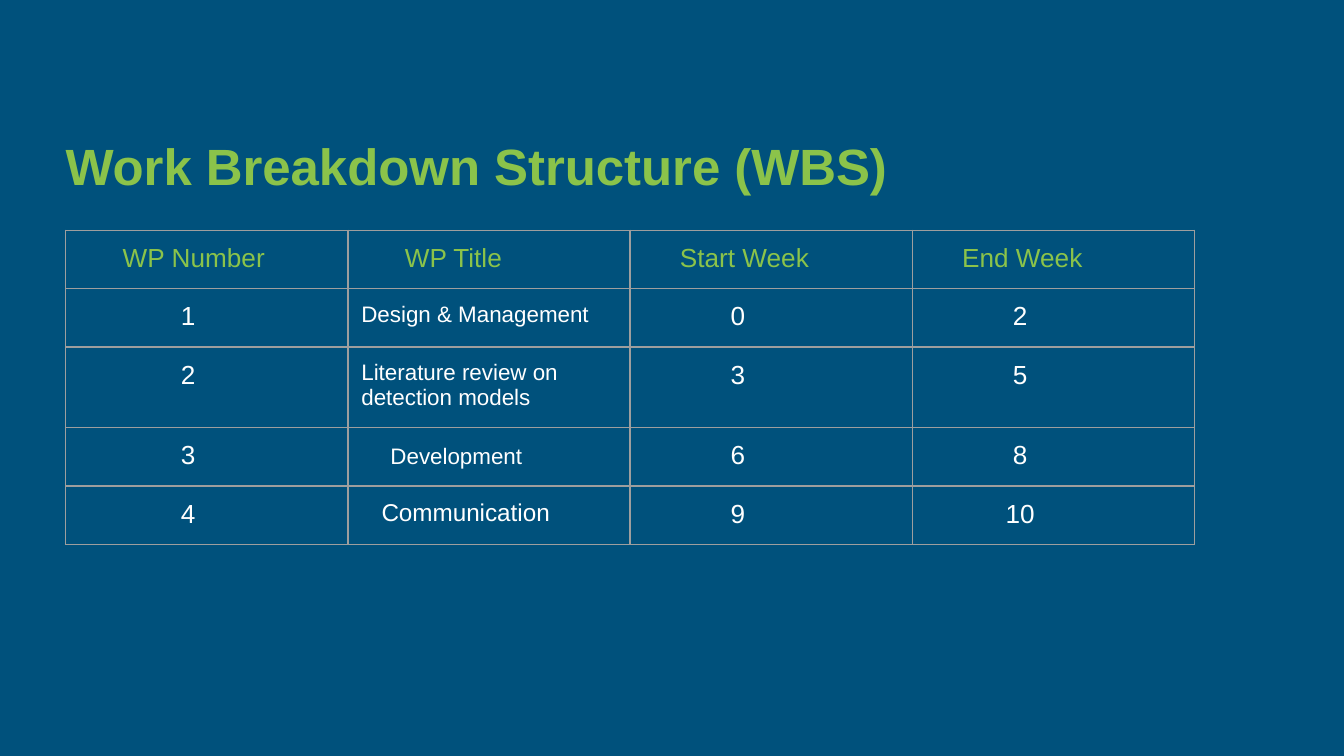
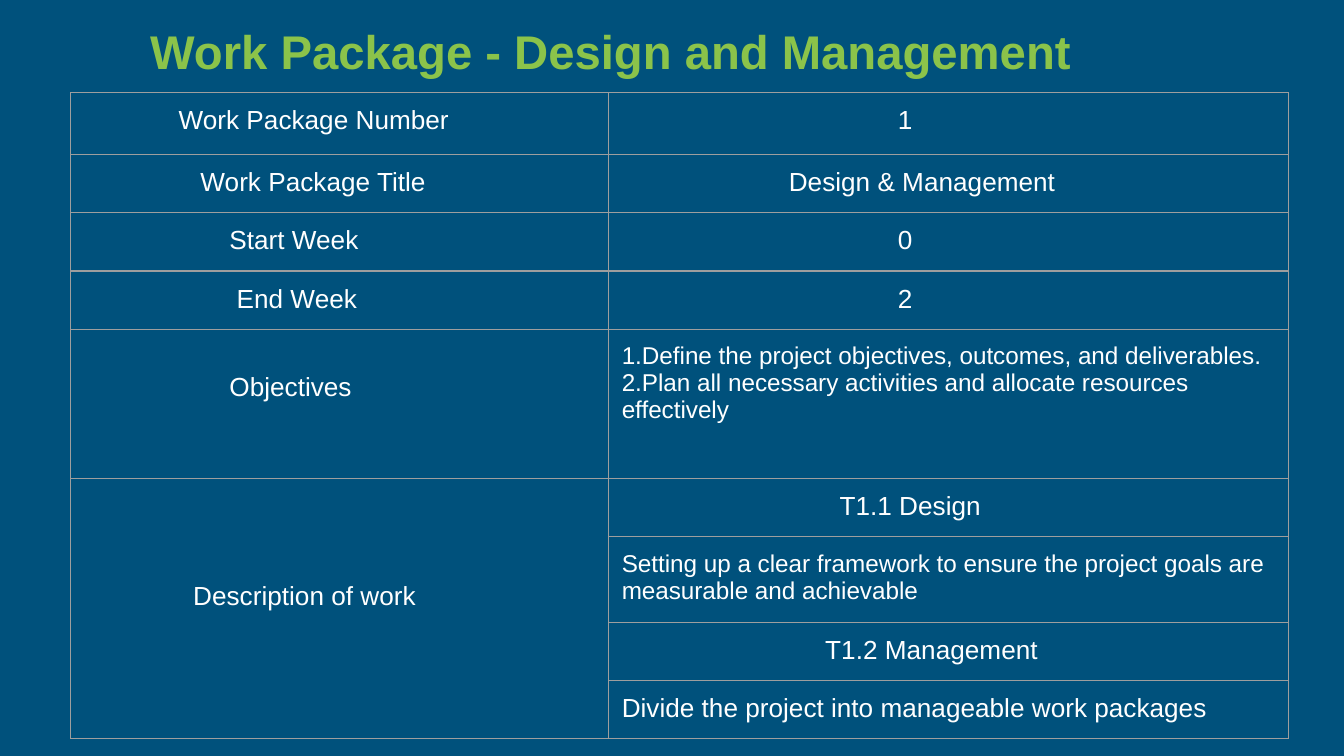
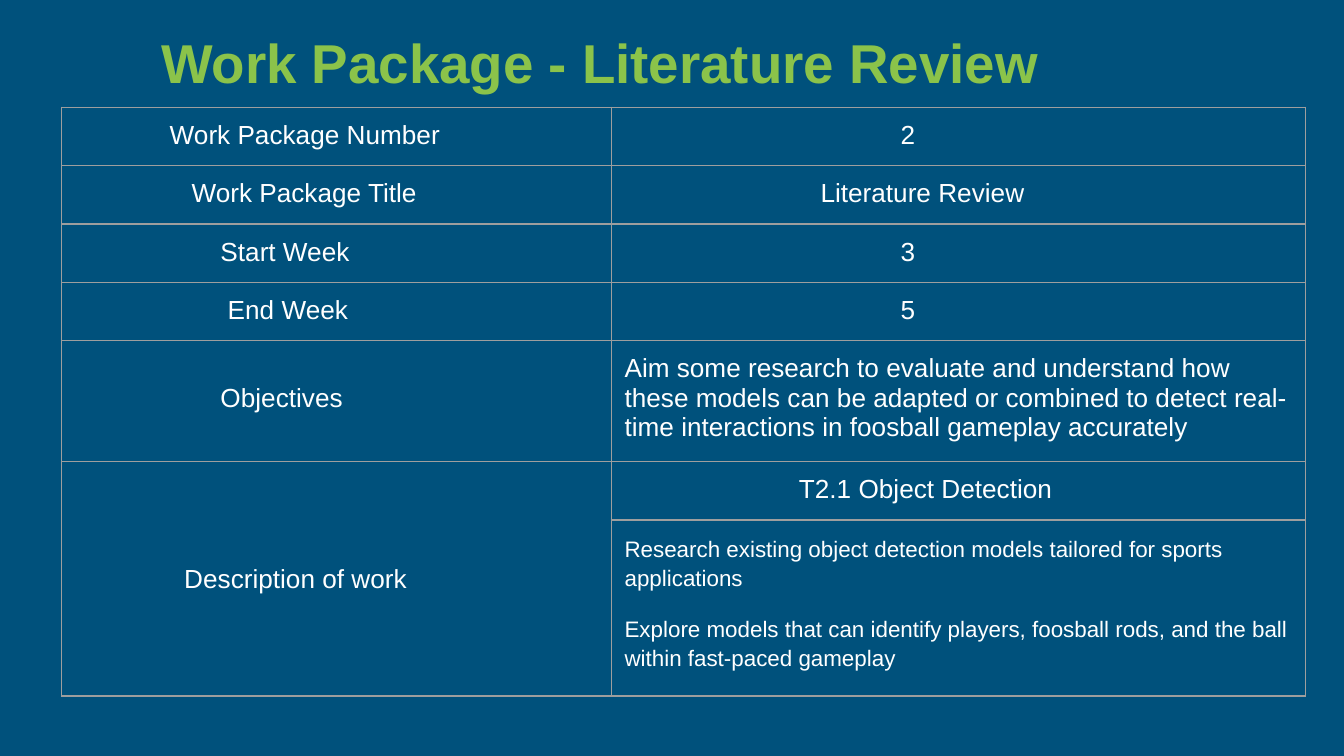
from lxml import etree
from pptx import Presentation
from pptx import util as u
from pptx.dml.color import RGBColor
from pptx.enum import text
from pptx.oxml import ns

Pt = u.Pt
COLORS = {"bg": "00517C", "green": "8BC34A", "white": "FFFFFF", "border": "9E9E9E"}
FONT = "Arial"
INSET = 7.2
LINE = 16     # height of one 14 pt line
ROW = 30.2    # height of a one-line row


def write(p, content, size, color, bold=False):
    r = p.add_run()
    r.text = content
    for name, value in {"name": FONT, "size": Pt(size), "bold": bold}.items():
        setattr(r.font, name, value)
    r.font.color.rgb = RGBColor.from_string(COLORS[color])


def add_borders(cell):
    tcPr = cell._tc.get_or_add_tcPr()
    for side in ("lnL", "lnR", "lnT", "lnB"):
        ln = etree.SubElement(tcPr, ns.qn("a:" + side), w=str(Pt(0.75)))
        fill = etree.SubElement(ln, ns.qn("a:solidFill"))
        etree.SubElement(fill, ns.qn("a:srgbClr"), val=COLORS["border"])


# Cells are (text, indent, size, extra space on top); the last two are optional
wbs = [[("WP Number", 23.3), ("WP Title", 23.3), ("Start Week", 19.5), ("End Week", 19.5)]]
packages = [
    (("Design & Management", 0, 12), "0", ("2", 46.7)),
    (("Literature review on detection models", 0, 12), "3", ("5", 46.7)),
    (("Development", 15.6, 12, 1.8), "6", ("8", 46.7)),
    (("Communication", 10.8, 13), "9", ("10", 42.8)),
]
for number, (name, start, end) in enumerate(packages, 1):
    wbs.append([(str(number), 54.5), name, (start, 46.7), end])

# Left column shared by the work package tables
labels = [
    ("Work Package Number", 50.6),
    ("Work Package Title", 62.3),
    ("Start Week", 77.8),
    ("End Week", 81.7),
    ("Objectives", 77.8, 14, LINE),
    ("Description of work", 58.4, 14, 3 * LINE),
]
design = [
    ("1", 147.9),
    ("Design & Management", 89.5),
    ("0", 147.9),
    ("2", 147.9),
    ("1.Define the project objectives, outcomes, and deliverables.\n"
     "2.Plan all necessary activities and allocate resources effectively", 0, 13),
    ("T1.1 Design", 116.7),
    ("Setting up a clear framework to ensure the project goals are "
     "measurable and achievable", 0, 13),
    ("T1.2 Management", 109),
    ("Divide the project into manageable work packages", 0),
]
review = [
    ("2", 147.9),
    ("Literature Review", 105),
    ("3", 147.9),
    ("5", 147.9),
    ("Aim some research to evaluate and understand how these models can be adapted "
     "or combined to detect real-time interactions in foosball gameplay accurately", 0),
    ("T2.1 Object Detection", 93.4),
    ("Research existing object detection models tailored for sports applications\n"
     "Explore models that can identify players, foosball rods, and the ball "
     "within fast-paced gameplay", 0, 12),
]
design_rows, review_rows = [
    [[labels[i] if i < len(labels) else None, value] for i, value in enumerate(values)]
    for values in (design, review)
]

# Title, its size and box, table corner, column widths, row heights, cells
pages = [
    ("Work Breakdown Structure (WBS)", 27.3, (28.1, 58.3, 456.5, 54), (35.2, 123.4),
     [151.2] * 4, [ROW, ROW, 41, ROW, ROW], wbs),
    ("Work Package - Design and Management", 25.3, (73.4, -4.3, 591, 54), (37.9, 49.6),
     [288, 364.5], [33.1, ROW, ROW, ROW, 80, ROW, 43.4, ROW, ROW], design_rows),
    ("Work Package - Literature Review", 29.3, (79.2, 3.6, 591, 54), (33.1, 57.5),
     [294.3, 372], [ROW] * 4 + [61.5, ROW, 94.4], review_rows),
]

prs = Presentation()
prs.slide_width, prs.slide_height = Pt(720), Pt(405)

for title, size, box, corner, widths, heights, rows in pages:
    s = prs.slides.add_slide(prs.slide_layouts[6])
    s.background.fill.solid()
    s.background.fill.fore_color.rgb = RGBColor.from_string(COLORS["bg"])

    # Title
    tf = s.shapes.add_textbox(*map(Pt, box)).text_frame
    frame = {"word_wrap": True, "vertical_anchor": text.MSO_ANCHOR.BOTTOM}
    for side in ("left", "top", "right", "bottom"):
        frame["margin_" + side] = Pt(INSET)
    for name, value in frame.items():
        setattr(tf, name, value)
    write(tf.paragraphs[0], title, size, "green", True)

    # Table grid
    sp = s.shapes.add_table(len(rows), len(widths), *map(Pt, corner),
                            Pt(sum(widths)), Pt(sum(heights)))
    table = sp.table
    table.first_row = table.horz_banding = False
    for column, width in zip(table.columns, widths):
        column.width = Pt(width)
    for row, height in zip(table.rows, heights):
        row.height = Pt(height)

    # Cells
    for i, row in enumerate(rows):
        for j, item in enumerate(row):
            cell = table.cell(i, j)
            add_borders(cell)
            cell.fill.background()
            if item is None:
                continue
            content, indent, points, drop = (*item, *(14, 0)[len(item) - 2:])
            margins = {"left": INSET, "right": INSET, "top": INSET + drop, "bottom": INSET}
            for side, value in margins.items():
                setattr(cell, "margin_" + side, Pt(value))
            tf = cell.text_frame
            for k, line in enumerate(content.split("\n")):
                p = tf.add_paragraph() if k else tf.paragraphs[0]
                p._p.get_or_add_pPr().set("marL", str(Pt(indent)))
                write(p, line, points, "green" if rows is wbs and i == 0 else "white")

    # The description label spans all task rows
    if rows is not wbs:
        table.cell(len(labels) - 1, 0).merge(table.cell(len(rows) - 1, 0))

    # Airier paragraphs in the literature review tasks
    if rows is review_rows:
        for p in table.cell(len(rows) - 1, 1).text_frame.paragraphs:
            p.line_spacing = 1.15
            p.space_before = Pt(12)
        p.space_after = Pt(12)

prs.save("out.pptx")
